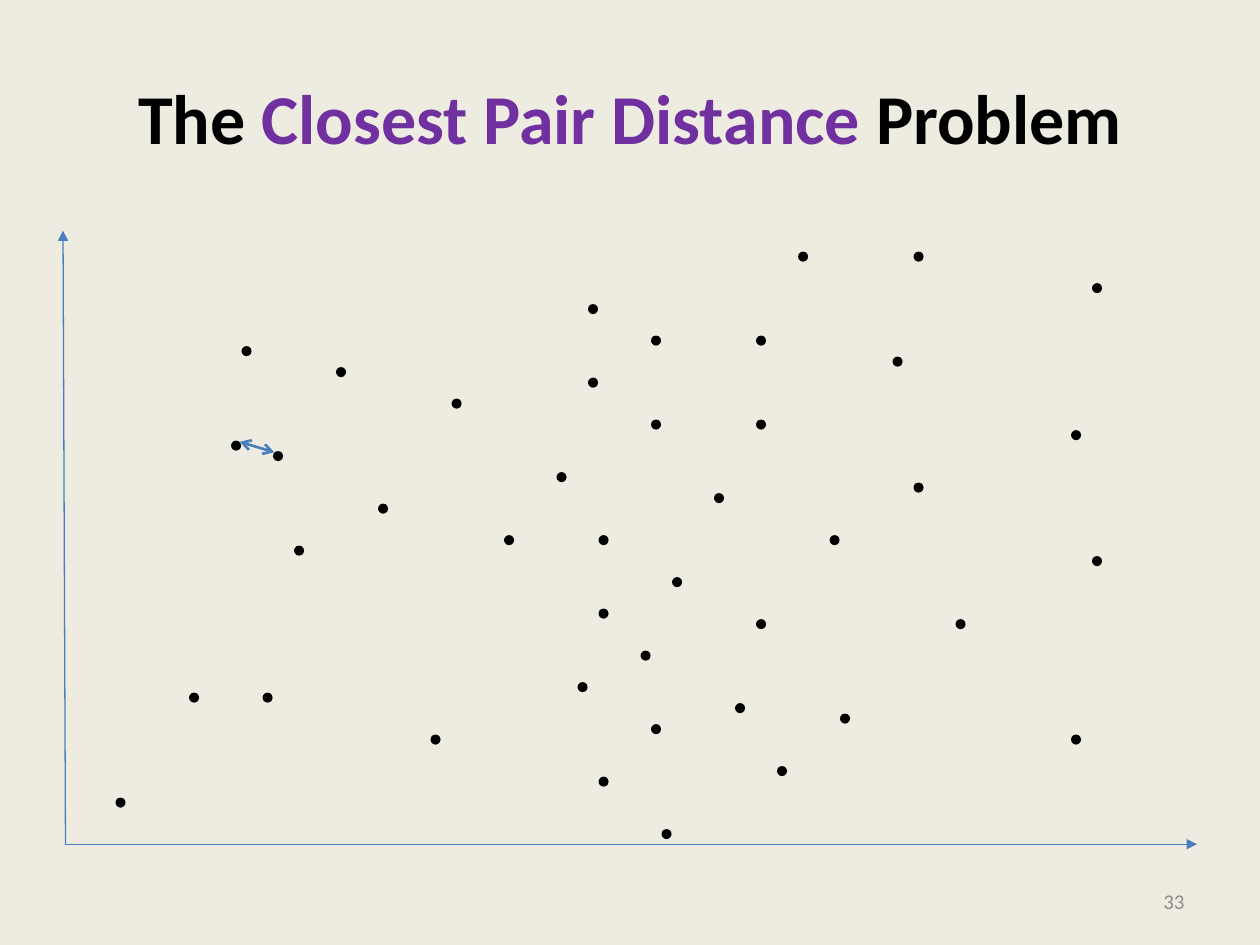
import pptx
import pptx.util
import pptx.dml.color
import pptx.enum.shapes
import pptx.enum.text
import pptx.oxml
import pptx.oxml.ns
from pptx.util import Inches

BLACK, PURPLE, BLUE, GREY, CREAM = "000000", "7030A0", "4B7EBC", "8C8C8C", "EEECE1"
GRID = Inches(1) / 12  # the points sit on a grid of twelfths of an inch
DOT = Inches(0.08)
CLOSEST_PAIR = [(16, 20), (20, 21)]
# Columns and rows of the other points, counted from the top left of the plot
POINTS = [
    (5, 54), (12, 44), (17, 11), (19, 44), (22, 30), (26, 13), (30, 26), (35, 48),
    (37, 16), (42, 29), (47, 23), (49, 43), (50, 7), (50, 14), (51, 29), (51, 36),
    (51, 52), (55, 40), (56, 10), (56, 18), (56, 47), (57, 57), (58, 33), (62, 25),
    (64, 45), (66, 10), (66, 18), (66, 37), (68, 51), (70, 2), (73, 29), (74, 46),
    (79, 12), (81, 2), (81, 24), (85, 37), (96, 19), (96, 48), (98, 5), (98, 31),
]


def color(value):
    return pptx.dml.color.RGBColor.from_string(value)


def write_line(shape, runs, alignment, **formats):
    """Write one paragraph of (text, colour) runs, centred vertically."""
    frame = shape.text_frame
    frame.word_wrap = True
    frame.vertical_anchor = pptx.enum.text.MSO_ANCHOR.MIDDLE
    paragraph = frame.paragraphs[0]
    paragraph.alignment = alignment
    for text, run_color in runs:
        run = paragraph.add_run()
        run.text = text
        run.font.color.rgb = color(run_color)
        for name, value in {"name": "Calibri", **formats}.items():
            setattr(run.font, name, value)


def add_title(slide, left, top, width, height):
    title = slide.shapes.title
    title.left, title.top, title.width, title.height = left, top, width, height
    runs = [("The ", BLACK), ("Closest Pair Distance ", PURPLE), ("Problem", BLACK)]
    write_line(title, runs, pptx.enum.text.PP_ALIGN.CENTER,
               size=pptx.util.Pt(40), bold=True)


def add_page_number(slide, left, top, width, height):
    box = slide.shapes.add_textbox(left, top, width, height)
    write_line(box, [("33", GREY)], pptx.enum.text.PP_ALIGN.RIGHT,
               size=pptx.util.Pt(12))


def add_arrow(shapes, start, end, weight, **ends):
    """Draw a line; ends maps headEnd or tailEnd to an arrowhead type."""
    connector = shapes.add_connector(
        pptx.enum.shapes.MSO_CONNECTOR.STRAIGHT, *start, *end)
    connector.line.color.rgb = color(BLUE)
    connector.line.width = pptx.util.Pt(weight)
    properties = connector._element.spPr
    line = properties.find(pptx.oxml.ns.qn("a:ln"))
    namespace = pptx.oxml.ns.nsdecls("a")
    for tag, kind in ends.items():
        line.append(pptx.oxml.parse_xml(f'<a:{tag} {namespace} type="{kind}"/>'))
    properties.append(pptx.oxml.parse_xml(f"<a:effectLst {namespace}/>"))


def add_dot(slide, left, top):
    dot = slide.shapes.add_shape(
        pptx.enum.shapes.MSO_SHAPE.OVAL, left, top, DOT, DOT)
    dot.shadow.inherit = False
    dot.fill.solid()
    dot.fill.fore_color.rgb = color(BLACK)
    dot.line.fill.background()


def add_plot(slide, left, top, width, height):
    def place(point):
        column, row = point
        return round(left + column * GRID), round(top + row * GRID)

    # Points
    for point in POINTS + CLOSEST_PAIR:
        add_dot(slide, *place(point))

    # Distance between the closest pair, from rim to rim
    (first_left, first_top), (second_left, second_top) = map(place, CLOSEST_PAIR)
    inset = Inches(0.01)
    add_arrow(slide.shapes,
              (second_left + inset, second_top + inset),
              (first_left + DOT - inset, first_top + inset),
              1.5, headEnd="arrow", tailEnd="arrow")

    # Axes
    axes = slide.shapes.add_group_shape().shapes
    origin = (left + Inches(0.02), top + height)
    for end in [(left + width, top + height), (left, top)]:
        add_arrow(axes, origin, end, 0.75, tailEnd="triangle")


def main():
    presentation = pptx.Presentation()
    presentation.slide_width, presentation.slide_height = Inches(10), Inches(7.5)
    slide = presentation.slides.add_slide(
        presentation.slide_layouts.get_by_name("Title Only"))
    slide.background.fill.solid()
    slide.background.fill.fore_color.rgb = color(CREAM)

    add_title(slide, Inches(0.5), Inches(0.3), Inches(9), Inches(1.25))
    add_page_number(slide, Inches(7.17), Inches(6.95), Inches(2.33), Inches(0.4))
    add_plot(slide, Inches(0.5), Inches(1.83), Inches(9), Inches(4.87))
    presentation.save("out.pptx")


if __name__ == "__main__":
    main()
